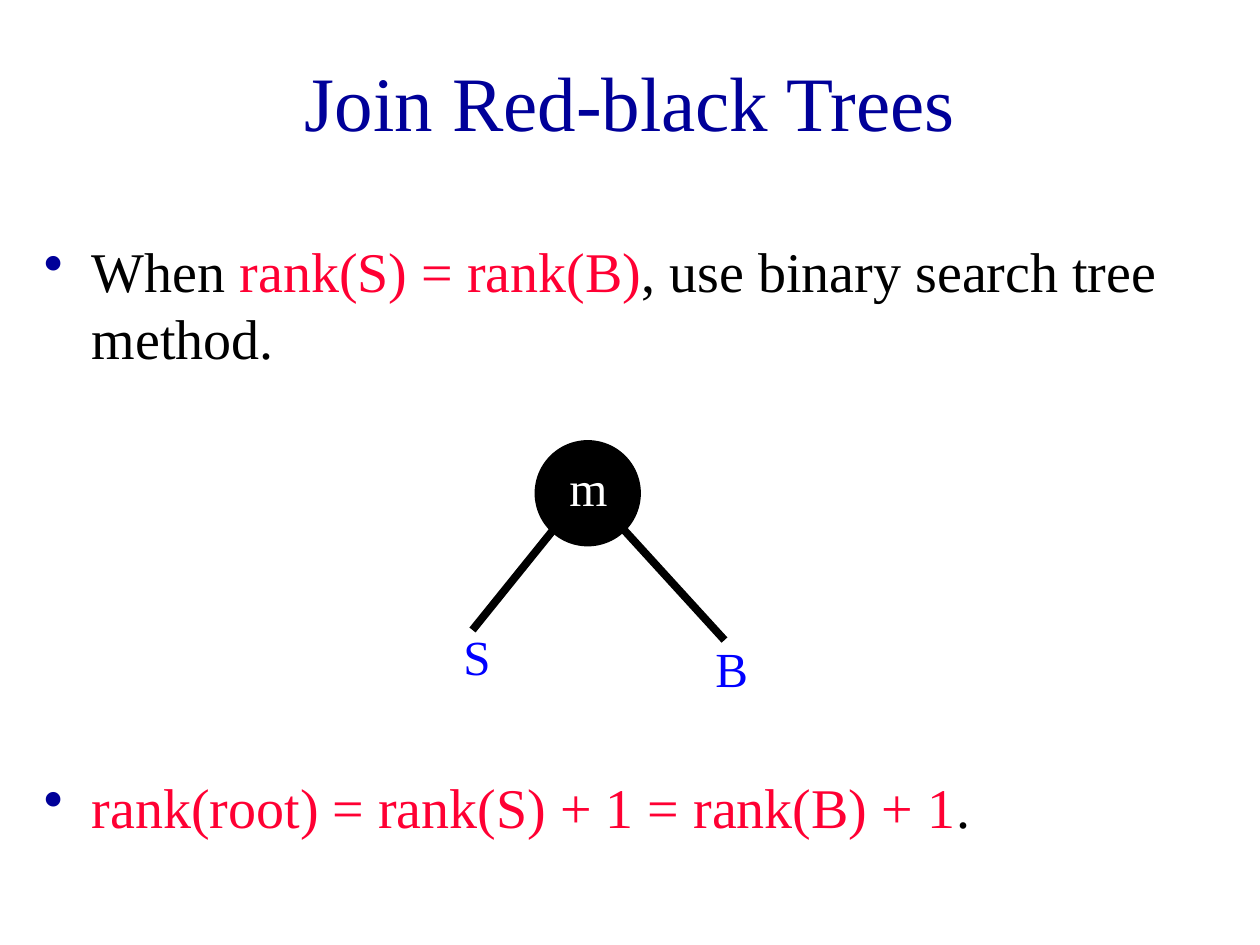
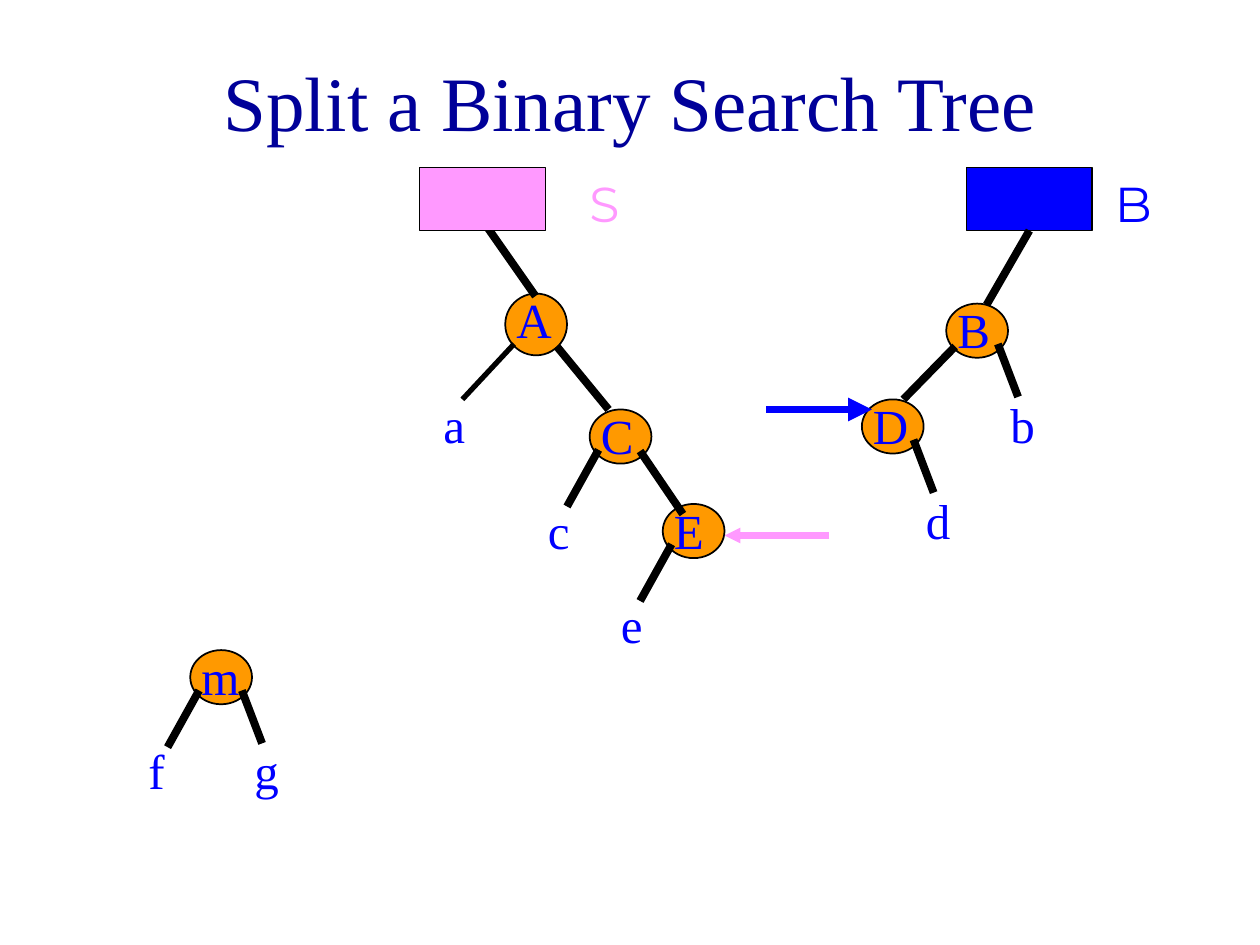
from dataclasses import dataclass

from lxml import etree
from pptx import Presentation
from pptx.dml.color import RGBColor
from pptx.enum.shapes import MSO_CONNECTOR, MSO_SHAPE
from pptx.enum.text import MSO_ANCHOR, MSO_AUTO_SIZE, PP_ALIGN
from pptx.oxml.ns import qn
from pptx.util import Emu, Pt

PX = 9144  # 100 px to the inch
STRAIGHT = MSO_CONNECTOR.STRAIGHT
ELLIPSE, RECTANGLE = MSO_SHAPE.OVAL, MSO_SHAPE.RECTANGLE
TOP, MIDDLE = MSO_ANCHOR.TOP, MSO_ANCHOR.MIDDLE
LEFT, CENTER = PP_ALIGN.LEFT, PP_ALIGN.CENTER
FIT_TEXT = MSO_AUTO_SIZE.SHAPE_TO_FIT_TEXT
RECTANGLE_BOTTOM = 2

COLORS = {
    "title": "000099",
    "black": "000000",
    "white": "FFFFFF",
    "formula": "FF0033",
    "blue": "0000FF",
    "pink": "FF99FF",
    "node": "FF9900",
}
SERIF, SANS = "Times New Roman", "Montserrat"

TITLE_BOX = (75, 17, 850, 125)
INDENT = 38
THICK, THIN = 4.5, 3
LABEL_SIZE = (50, 57)


@dataclass(frozen=True)
class Run:
    text: str
    color: str


@dataclass(frozen=True)
class Label:
    text: str
    x: int
    y: int
    color: str = "blue"
    font: str = SERIF
    width: int = LABEL_SIZE[0]


@dataclass(frozen=True)
class Edge:
    start: tuple[int, int]
    end: tuple[int, int]
    width: float = THICK
    color: str = "black"
    arrow: str = ""  # arrowhead size at the end


@dataclass(frozen=True)
class Node:
    """A tree node; x and y are the corner of its label."""
    name: str
    x: int
    y: int
    left_leaf: str = ""
    right_leaf: str = ""
    height: int = 43


@dataclass(frozen=True)
class Root:
    name: str
    x: int
    label_x: int
    color: str


def px(length: int) -> Emu:
    return Emu(length * PX)


def rgb(name: str) -> RGBColor:
    return RGBColor.from_string(COLORS[name])


def add_text(slide, box, runs: list[Run], size: float, font: str = SERIF,
             **frame_format):
    """Add a text box with one paragraph and return that paragraph."""
    shape = slide.shapes.add_textbox(*map(px, box))
    alignment = frame_format.pop("alignment", LEFT)
    values = {"word_wrap": True, "vertical_anchor": TOP, **frame_format}
    for name, value in values.items():
        setattr(shape.text_frame, name, value)
    paragraph = shape.text_frame.paragraphs[0]
    paragraph.alignment = alignment
    for part in runs:
        run = paragraph.add_run()
        run.text = part.text
        for name, value in {"name": font, "size": Pt(size)}.items():
            setattr(run.font, name, value)
        run.font.color.rgb = rgb(part.color)
    return paragraph


def add_title(slide, text: str) -> None:
    add_text(slide, TITLE_BOX, [Run(text, "title")], 44,
             alignment=CENTER, vertical_anchor=MIDDLE)


def add_bullet(slide, box, runs: list[Run]) -> None:
    paragraph = add_text(slide, box, runs, 32)
    properties = paragraph._p.get_or_add_pPr()
    properties.set("marL", str(px(INDENT)))
    properties.set("indent", str(-px(INDENT)))
    color = etree.SubElement(properties, qn("a:buClr"))
    etree.SubElement(color, qn("a:srgbClr"), val=COLORS["title"])
    etree.SubElement(properties, qn("a:buChar"), char="•")


def add_label(slide, label: Label) -> None:
    add_text(slide, (label.x, label.y, label.width, LABEL_SIZE[1]),
             [Run(label.text, label.color)], 28, label.font,
             auto_size=FIT_TEXT)


def add_filled(slide, kind, box, color: str):
    shape = slide.shapes.add_shape(kind, *map(px, box))
    shape.shadow.inherit = False
    shape.fill.solid()
    shape.fill.fore_color.rgb = rgb(color)
    shape.line.color.rgb = rgb("black")
    shape.line.width = Pt(1)
    return shape


def add_edge(slide, edge: Edge):
    connector = slide.shapes.add_connector(
        STRAIGHT, *map(px, edge.start + edge.end))
    connector.line.color.rgb = rgb(edge.color)
    connector.line.width = Pt(edge.width)
    if edge.arrow:
        etree.SubElement(connector.line._get_or_add_ln(), qn("a:tailEnd"),
                         type="triangle", w=edge.arrow, len=edge.arrow)
    etree.SubElement(connector._element.spPr, qn("a:effectLst"))
    return connector


def leaf_parts(node: Node) -> tuple[list[Edge], list[Label]]:
    """Edges and labels of a node's leaves, placed relative to the node."""
    sides = [
        (node.left_leaf, (8, 40), (-17, 85), (-42, 75)),
        (node.right_leaf, (42, 40), (58, 82), (42, 75)),
    ]
    edges, labels = [], []
    for leaf, *offsets in sides:
        if leaf:
            start, end, corner = [(node.x + dx, node.y + dy)
                                  for dx, dy in offsets]
            edges.append(Edge(start, end))
            labels.append(Label(leaf, *corner))
    return edges, labels


def build_join_slide(slide) -> None:
    add_title(slide, "Join Red-black Trees")
    add_bullet(slide, (25, 183, 925, 158), [
        Run("When ", "black"),
        Run("rank(S) = rank(B)", "formula"),
        Run(", use binary search tree method.", "black"),
    ])

    # Joined tree
    for edge in (Edge((442, 417), (375, 500)), Edge((492, 417), (575, 508))):
        add_edge(slide, edge)
    add_filled(slide, ELLIPSE, (425, 350, 83, 83), "black")
    for label in (Label("m", 442, 358, "white", width=58),
                  Label("S", 358, 492), Label("B", 558, 502)):
        add_label(slide, label)

    add_bullet(slide, (25, 608, 925, 75), [
        Run("rank(root) = rank(S) + 1 = rank(B) + 1", "formula"),
        Run(".", "black"),
    ])


def build_split_slide(slide) -> None:
    add_title(slide, "Split a Binary Search Tree")
    nodes = [
        Node("A", 400, 225, height=49),
        Node("B", 750, 233, right_leaf="b"),
        Node("C", 467, 317, left_leaf="c"),
        Node("D", 683, 309, right_leaf="d"),
        Node("E", 525, 392, left_leaf="e"),
        Node("m", 150, 508, left_leaf="f", right_leaf="g"),
    ]
    edges = [
        Edge((383, 175), (425, 235)),           # root S to A
        Edge((408, 273), (367, 317), THIN),     # A to leaf a
        Edge((442, 275), (483, 325)),           # A to C
        Edge((508, 358), (542, 408)),           # C to E
        Edge((758, 275), (717, 317)),           # B to D
    ]
    labels = [Label("a", 342, 308)]

    # Tree nodes, edges and names
    for node in nodes:
        add_filled(slide, ELLIPSE,
                   (node.x + 1, node.y + 8, 49, node.height), "node")
        leaf_edges, leaf_labels = leaf_parts(node)
        edges += leaf_edges
        labels += [Label(node.name, node.x, node.y), *leaf_labels]
    for edge in edges:
        add_edge(slide, edge)
    for label in labels:
        add_label(slide, label)

    # Root boxes of the two result trees
    boxes = {}
    for root in (Root("B", 767, 875, "blue"), Root("S", 333, 458, "pink")):
        boxes[root.name] = add_filled(
            slide, RECTANGLE, (root.x, 133, 100, 50), root.color)
        add_label(slide, Label(root.name, root.label_x, 133, root.color,
                               SANS, 92))
    root_edge = add_edge(slide, Edge((817, 183), (783, 242)))
    root_edge.begin_connect(boxes["B"], RECTANGLE_BOTTOM)

    # Arrows to the current ends of the two trees
    add_edge(slide, Edge((658, 425), (575, 425), color="pink", arrow="sm"))
    add_edge(slide, Edge((608, 325), (692, 325), color="blue", arrow="med"))


def main() -> None:
    presentation = Presentation()
    presentation.slide_width, presentation.slide_height = px(1000), px(750)
    blank = presentation.slide_layouts[6]
    for build in (build_join_slide, build_split_slide):
        build(presentation.slides.add_slide(blank))
    presentation.save("out.pptx")


if __name__ == "__main__":
    main()
